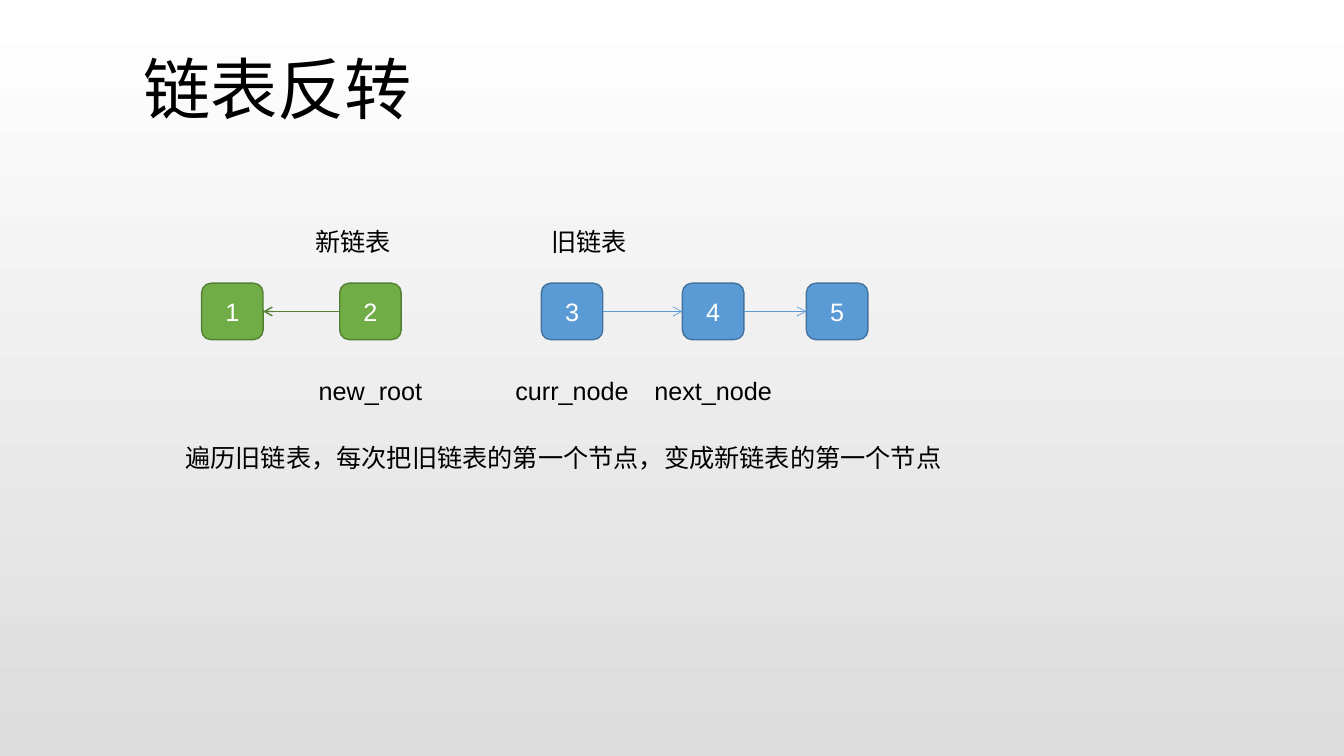
import pptx
import pptx.dml.color
import pptx.enum.shapes
import pptx.enum.text
import pptx.oxml
import pptx.oxml.ns
import pptx.util

RGBColor = pptx.dml.color.RGBColor
Inches = pptx.util.Inches
Pt = pptx.util.Pt
ALIGN = pptx.enum.text.PP_ALIGN
ANCHOR = pptx.enum.text.MSO_ANCHOR

BLACK = RGBColor(0x00, 0x00, 0x00)
WHITE = RGBColor(0xFF, 0xFF, 0xFF)
GREY = RGBColor(0xDC, 0xDC, 0xDC)
GREEN = RGBColor(0x70, 0xAD, 0x47)
DARK_GREEN = RGBColor(0x53, 0x80, 0x35)
BLUE = RGBColor(0x5B, 0x9B, 0xD5)
DARK_BLUE = RGBColor(0x43, 0x73, 0x9E)

# Rows and node size, in inches
HEADING_TOP, NODE_TOP, POINTER_TOP, SUMMARY_TOP = 2.2, 2.81, 3.67, 4.34
NODE_WIDTH, NODE_HEIGHT = 0.61, 0.56
LABEL_HEIGHT, POINTER_WIDTH = 0.4, 1.4


def write_text(shape, text, size=18, color=BLACK, align=ALIGN.LEFT,
               anchor=ANCHOR.TOP, wrap=False,
               auto_size=pptx.enum.text.MSO_AUTO_SIZE.SHAPE_TO_FIT_TEXT):
    frame = shape.text_frame
    frame.text = text
    frame.word_wrap = wrap
    frame.auto_size = auto_size
    frame.vertical_anchor = anchor
    paragraph = frame.paragraphs[0]
    paragraph.alignment = align
    font = paragraph.runs[0].font
    font.name, font.size, font.color.rgb = "Arial", Pt(size), color


# Slide with a white-to-grey background
presentation = pptx.Presentation()
presentation.slide_width = Inches(13.333)
presentation.slide_height = Inches(7.5)
slide = presentation.slides.add_slide(presentation.slide_layouts[5])
shapes = slide.shapes
background = slide.background.fill
background.gradient()
background.gradient_angle = 270
for stop, color, position in zip(background.gradient_stops, (WHITE, GREY), (0, 1)):
    stop.color.rgb = color
    stop.position = position

# Title
title = shapes.title
title.left, title.top = Inches(1.32), Inches(0.42)
title.width, title.height = Inches(2.87), Inches(0.91)
write_text(title, "链表反转", size=48, align=ALIGN.CENTER)

# Nodes: the new list is green, the old list is blue
node_lefts = {"1": 2, "2": 3.37, "3": 5.37, "4": 6.77, "5": 8}
nodes = {}
for value, left in node_lefts.items():
    node = shapes.add_shape(
        pptx.enum.shapes.MSO_SHAPE.ROUNDED_RECTANGLE,
        Inches(left), Inches(NODE_TOP), Inches(NODE_WIDTH), Inches(NODE_HEIGHT))
    fill, outline = (GREEN, DARK_GREEN) if value in "12" else (BLUE, DARK_BLUE)
    node.shadow.inherit = False
    node.fill.solid()
    node.fill.fore_color.rgb = fill
    node.line.color.rgb = outline
    node.line.width = Pt(1)
    write_text(node, value, color=WHITE, align=ALIGN.CENTER, anchor=ANCHOR.MIDDLE,
               wrap=True, auto_size=pptx.enum.text.MSO_AUTO_SIZE.NONE)
    nodes[value] = node

# Arrows glued to the sides of the nodes
LEFT_SIDE, RIGHT_SIDE = 1, 3
for start, end, color, width in (("3", "4", BLUE, 0.5),
                                 ("4", "5", BLUE, 0.5),
                                 ("2", "1", DARK_GREEN, 1)):
    forward = start < end
    arrow = shapes.add_connector(pptx.enum.shapes.MSO_CONNECTOR.STRAIGHT, 0, 0, 0, 0)
    arrow.begin_connect(nodes[start], RIGHT_SIDE if forward else LEFT_SIDE)
    arrow.end_connect(nodes[end], LEFT_SIDE if forward else RIGHT_SIDE)
    arrow.line.color.rgb = color
    arrow.line.width = Pt(width)
    line_xml = arrow.line._get_or_add_ln()
    line_xml.append(pptx.oxml.parse_xml(
        f'<a:tailEnd {pptx.oxml.ns.nsdecls("a")} type="arrow"/>'))
    arrow._element.spPr.append(pptx.oxml.parse_xml(
        f'<a:effectLst {pptx.oxml.ns.nsdecls("a")}/>'))

# List headings, pointer names centred under their nodes, and the summary
pointers = (("curr_node", "3"), ("next_node", "4"), ("new_root", "2"))
labels = [("旧链表", 5.37, HEADING_TOP, 0.95), ("新链表", 3.03, HEADING_TOP, 0.95)]
for name, value in pointers:
    pointer_left = node_lefts[value] + (NODE_WIDTH - POINTER_WIDTH) / 2
    labels.append((name, pointer_left, POINTER_TOP, POINTER_WIDTH))
labels.append(("遍历旧链表，每次把旧链表的第一个节点，变成新链表的第一个节点",
               1.74, SUMMARY_TOP, 7.7))
for text, left, top, width in labels:
    is_pointer = top == POINTER_TOP
    label = shapes.add_textbox(Inches(left), Inches(top),
                               Inches(width), Inches(LABEL_HEIGHT))
    write_text(label, text, wrap=is_pointer,
               align=ALIGN.CENTER if is_pointer else ALIGN.LEFT)

presentation.save("out.pptx")
